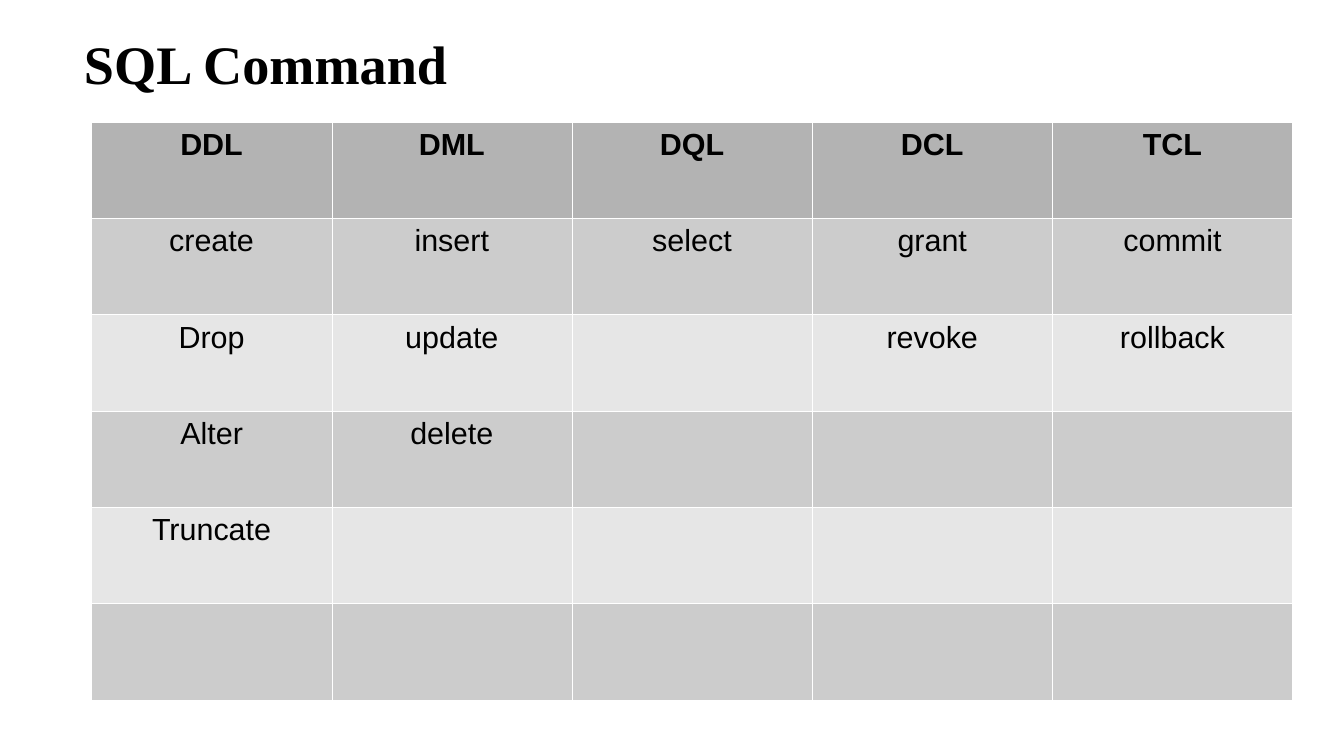
from dataclasses import dataclass

from lxml import etree
from pptx import Presentation
from pptx.dml.color import RGBColor
from pptx.enum.text import MSO_ANCHOR, PP_ALIGN
from pptx.oxml.ns import qn
from pptx.util import Inches, Pt

LEFT, CENTER = PP_ALIGN.LEFT, PP_ALIGN.CENTER
TOP, MIDDLE = MSO_ANCHOR.TOP, MSO_ANCHOR.MIDDLE
BLANK_LAYOUT = 6
SLIDE_WIDTH, SLIDE_HEIGHT = 11.02, 6.2
BORDER_SIDES = ("a:lnL", "a:lnR", "a:lnT", "a:lnB")


@dataclass(frozen=True)
class Theme:
    """Colours, fonts and type sizes of the slide."""
    ink: str = "000000"
    border: str = "FFFFFF"
    header: str = "B3B3B3"
    bands: tuple[str, str] = ("CCCCCC", "E6E6E6")
    title_font: str = "Times New Roman"
    body_font: str = "Arial"
    title_size: int = 32
    body_size: int = 18
    border_width: float = 0.06


@dataclass(frozen=True)
class Grid:
    """Table grid: origin and cell size in inches."""
    left: float = 0.75
    top: float = 1.0
    column: float = 1.97
    row: float = 0.79


@dataclass(frozen=True)
class CommandGroup:
    """One table column: a group of SQL commands."""
    name: str
    commands: tuple[str, ...]


THEME = Theme()
GRID = Grid()
COMMAND_ROWS = 5
GROUPS = (
    CommandGroup("DDL", ("create", "Drop", "Alter", "Truncate")),
    CommandGroup("DML", ("insert", "update", "delete")),
    CommandGroup("DQL", ("select",)),
    CommandGroup("DCL", ("grant", "revoke")),
    CommandGroup("TCL", ("commit", "rollback")),
)


def write_text(frame, text: str, *, font: str, size: float, bold: bool = False,
               align=LEFT, anchor=TOP, line_spacing: float = 1.0) -> None:
    """Write one formatted paragraph into a text frame."""
    frame.word_wrap = True
    frame.vertical_anchor = anchor
    para = frame.paragraphs[0]
    para.alignment = align
    para.line_spacing = line_spacing
    span = para.add_run()
    span.text = text
    span.font.name = font
    span.font.size = Pt(size)
    span.font.bold = bold
    span.font.color.rgb = RGBColor.from_string(THEME.ink)


def paint_cell(cell, color: str) -> None:
    """Give a cell its four borders, then its fill."""
    properties = cell._tc.get_or_add_tcPr()
    for side in BORDER_SIDES:
        line = etree.SubElement(properties, qn(side), w=str(Pt(THEME.border_width)))
        fill = etree.SubElement(line, qn("a:solidFill"))
        etree.SubElement(fill, qn("a:srgbClr"), val=THEME.border)
    cell.fill.solid()
    cell.fill.fore_color.rgb = RGBColor.from_string(color)


def add_title(page, text: str) -> None:
    """Add the slide title."""
    box = page.shapes.add_textbox(Inches(0.59), Inches(0.18), Inches(8.31), Inches(0.74))
    write_text(box.text_frame, text, font=THEME.title_font, size=THEME.title_size,
               bold=True, anchor=MIDDLE, line_spacing=0.9)


def add_command_table(page, groups: tuple[CommandGroup, ...]) -> None:
    """Add the table with one column for each command group."""
    row_count = COMMAND_ROWS + 1
    table = page.shapes.add_table(
        row_count, len(groups), Inches(GRID.left), Inches(GRID.top),
        Inches(GRID.column * len(groups)), Inches(GRID.row * row_count)).table
    table.horz_banding = False
    for row in table.rows:
        row.height = Inches(GRID.row)
    for column_index, group in enumerate(groups):
        table.columns[column_index].width = Inches(GRID.column)
        words = (group.name, *group.commands)
        for row_index in range(row_count):
            is_header = row_index == 0
            cell = table.cell(row_index, column_index)
            paint_cell(cell, THEME.header if is_header else THEME.bands[(row_index - 1) % 2])
            if row_index < len(words):
                write_text(cell.text_frame, words[row_index], font=THEME.body_font,
                           size=THEME.body_size, bold=is_header, align=CENTER)


def build_deck() -> None:
    """Build and save the deck."""
    deck = Presentation()
    deck.slide_width, deck.slide_height = Inches(SLIDE_WIDTH), Inches(SLIDE_HEIGHT)
    page = deck.slides.add_slide(deck.slide_layouts[BLANK_LAYOUT])
    add_title(page, "SQL Command")
    add_command_table(page, GROUPS)
    deck.save("out.pptx")


build_deck()
